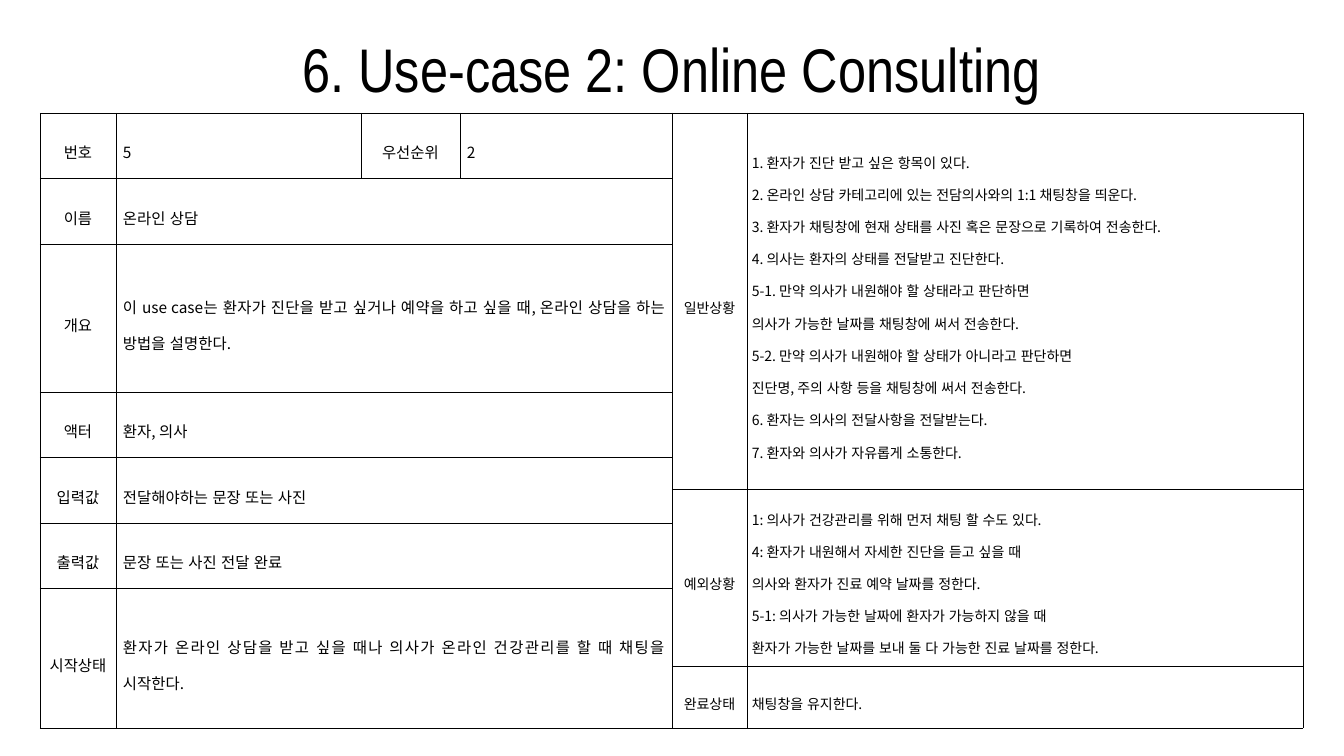
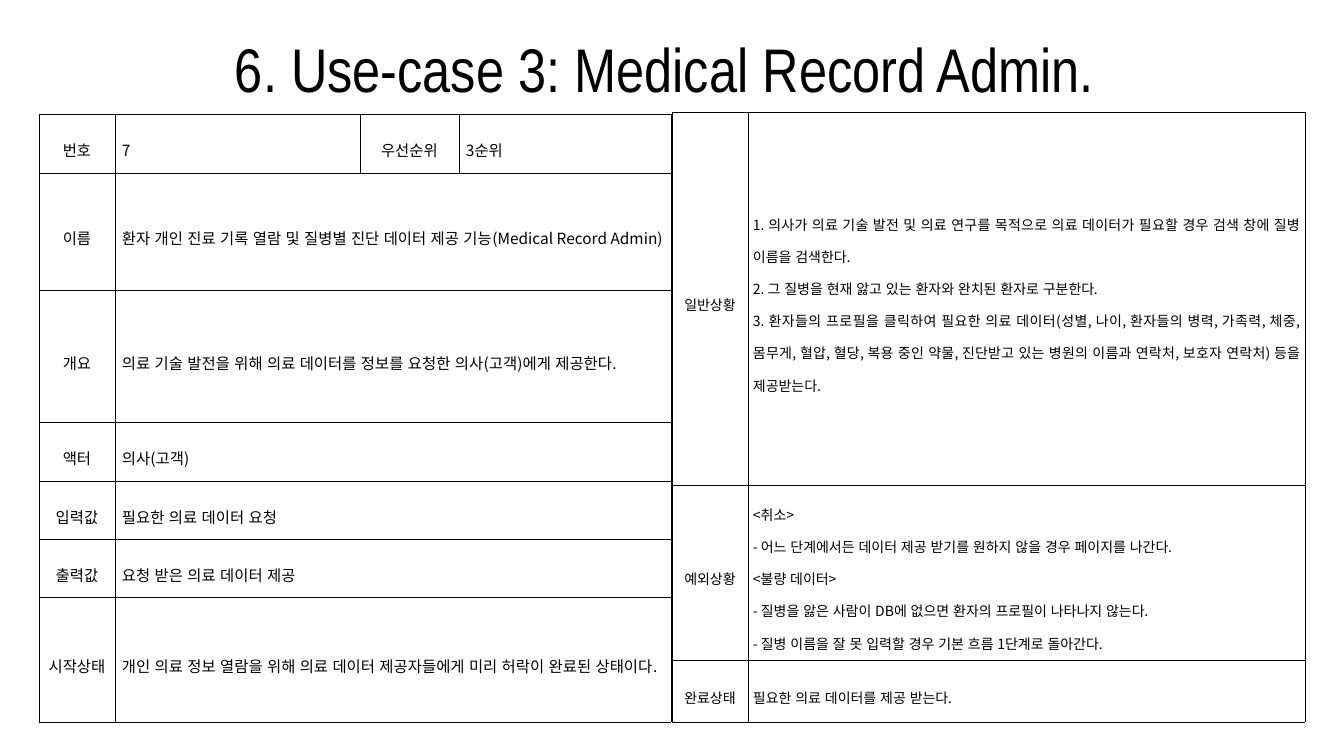
"""Build two use-case specification slides, each with a summary table and a flow table."""
from dataclasses import dataclass

from lxml import etree
from pptx import Presentation
from pptx.dml.color import RGBColor
from pptx.enum.lang import MSO_LANGUAGE_ID
from pptx.enum.text import MSO_ANCHOR, MSO_AUTO_SIZE, PP_ALIGN
from pptx.oxml.ns import qn
from pptx.util import Emu, Pt

CENTER, JUSTIFY = PP_ALIGN.CENTER, PP_ALIGN.JUSTIFY
MIDDLE = MSO_ANCHOR.MIDDLE
NO_AUTOFIT = MSO_AUTO_SIZE.NONE
KOREAN = MSO_LANGUAGE_ID.KOREAN

BLACK = RGBColor(0, 0, 0)
TITLE_FONT = "Arial Narrow"
BODY_FONT = "Noto Sans CJK KR"
BORDER_WIDTH = Pt(0.28)
BORDER_SIDES = ("a:lnL", "a:lnR", "a:lnT", "a:lnB")

EMU_PER_PX = 914400 / 100.8
PAGE_WIDTH, PAGE_HEIGHT = 1344, 756
TITLE_HEIGHT = 146
TITLE_ONLY = 5


@dataclass
class TableStyle:
    """Text size and cell insets of one kind of table."""
    size: int
    inset_x: int
    inset_y: int


@dataclass
class Grid:
    """Position, column widths and row heights of a table in px."""
    left: int
    top: int
    columns: list
    rows: list


@dataclass
class UseCase:
    """Content and table grids of one slide."""
    title: str
    number: str
    priority: str
    summary: list
    flow: list
    summary_grid: Grid
    flow_grid: Grid


SUMMARY_STYLE = TableStyle(11, 7, 2)
FLOW_STYLE = TableStyle(10, 5, 1)
SUMMARY_COLUMNS = [76, 245, 99, 212]
SUMMARY_LABELS = ["이름", "개요", "액터", "입력값", "출력값", "시작상태"]
FLOW_LABELS = ["일반상황", "예외상황", "완료상태"]

USE_CASES = [
    UseCase(
        title="6. Use-case 2: Online Consulting",
        number="5",
        priority="2",
        summary=[
            "온라인 상담",
            "이 use case는 환자가 진단을 받고 싶거나 예약을 하고 싶을 때, 온라인 상담을 하는 방법을 설명한다.",
            "환자, 의사",
            "전달해야하는 문장 또는 사진",
            "문장 또는 사진 전달 완료",
            "환자가 온라인 상담을 받고 싶을 때나 의사가 온라인 건강관리를 할 때 채팅을 시작한다.",
        ],
        flow=[
            [
                "1. 환자가 진단 받고 싶은 항목이 있다.",
                "2. 온라인 상담 카테고리에 있는 전담의사와의 1:1 채팅창을 띄운다.",
                "3. 환자가 채팅창에 현재 상태를 사진 혹은 문장으로 기록하여 전송한다.",
                "4. 의사는 환자의 상태를 전달받고 진단한다.",
                "5-1. 만약 의사가 내원해야 할 상태라고 판단하면",
                "의사가 가능한 날짜를 채팅창에 써서 전송한다.",
                "5-2. 만약 의사가 내원해야 할 상태가 아니라고 판단하면",
                "진단명, 주의 사항 등을 채팅창에 써서 전송한다.",
                "6. 환자는 의사의 전달사항을 전달받는다.",
                "7. 환자와 의사가 자유롭게 소통한다.",
            ],
            [
                "1: 의사가 건강관리를 위해 먼저 채팅 할 수도 있다.",
                "4: 환자가 내원해서 자세한 진단을 듣고 싶을 때",
                "의사와 환자가 진료 예약 날짜를 정한다.",
                "5-1: 의사가 가능한 날짜에 환자가 가능하지 않을 때",
                "환자가 가능한 날짜를 보내 둘 다 가능한 진료 날짜를 정한다.",
            ],
            ["채팅창을 유지한다."],
        ],
        summary_grid=Grid(40, 113, SUMMARY_COLUMNS, [65, 66, 148, 65, 66, 65, 140]),
        flow_grid=Grid(672, 113, [75, 556], [376, 177, 62]),
    ),
    UseCase(
        title="6. Use-case 3: Medical Record Admin. ",
        number="7",
        priority="3순위",
        summary=[
            "환자 개인 진료 기록 열람 및 질병별 진단 데이터 제공 기능(Medical Record Admin)",
            "의료 기술 발전을 위해 의료 데이터를 정보를 요청한 의사(고객)에게 제공한다. ",
            "의사(고객)",
            "필요한 의료 데이터 요청",
            "요청 받은 의료 데이터 제공",
            "개인 의료 정보 열람을 위해 의료 데이터 제공자들에게 미리 허락이 완료된 상태이다.",
        ],
        flow=[
            [
                "1. 의사가 의료 기술 발전 및 의료 연구를 목적으로 의료 데이터가 필요할 경우 "
                "검색 창에 질병 이름을 검색한다.",
                "2. 그 질병을 현재 앓고 있는 환자와 완치된 환자로 구분한다. ",
                "3. 환자들의 프로필을 클릭하여 필요한 의료 데이터(성별, 나이, 환자들의 병력, 가족력, "
                "체중, 몸무게, 혈압, 혈당, 복용 중인 약물, 진단받고 있는 병원의 이름과 연락처, "
                "보호자 연락처) 등을 제공받는다.",
            ],
            [
                "<취소>",
                "- 어느 단계에서든 데이터 제공 받기를 원하지 않을 경우 페이지를 나간다.",
                "<불량 데이터>",
                "- 질병을 앓은 사람이 DB에 없으면 환자의 프로필이 나타나지 않는다.",
                "- 질병 이름을 잘 못 입력할 경우 기본 흐름 1단계로 돌아간다.",
            ],
            ["필요한 의료 데이터를 제공 받는다."],
        ],
        summary_grid=Grid(39, 114, SUMMARY_COLUMNS, [59, 117, 132, 59, 58, 58, 125]),
        flow_grid=Grid(672, 112, [76, 557], [373, 175, 62]),
    ),
]


def px(length):
    """Turn px into EMU."""
    return Emu(round(length * EMU_PER_PX))


def add_span(para, text, font_name, size):
    """Add one run of black text."""
    span = para.add_run()
    span.text = text
    span.font.name = font_name
    span.font.size = Pt(size)
    span.font.bold = False
    span.font.color.rgb = BLACK
    return span


def set_title(page, text):
    """Place and format the title placeholder."""
    title = page.shapes.title
    title.left, title.top = px(0), px(0)
    title.width, title.height = px(PAGE_WIDTH), px(TITLE_HEIGHT)
    frame = title.text_frame
    frame.auto_size = NO_AUTOFIT
    frame.word_wrap = True
    frame.vertical_anchor = MIDDLE
    para = frame.paragraphs[0]
    para.alignment = CENTER
    para.line_spacing = 0.9
    add_span(para, text, TITLE_FONT, 44)


def add_borders(cell):
    """Draw a thin black line on all four sides of a cell."""
    properties = cell._tc.get_or_add_tcPr()
    for side in BORDER_SIDES:
        line = etree.SubElement(properties, qn(side), w=str(int(BORDER_WIDTH)))
        fill = etree.SubElement(line, qn("a:solidFill"))
        etree.SubElement(fill, qn("a:srgbClr"), val=str(BLACK))


def add_table(page, grid, style):
    """Add an unfilled table with thin borders."""
    frame = page.shapes.add_table(
        len(grid.rows), len(grid.columns), px(grid.left), px(grid.top),
        px(sum(grid.columns)), px(sum(grid.rows)))
    table = frame.table
    table.first_row = False
    table.horz_banding = False
    for column, width in zip(table.columns, grid.columns):
        column.width = px(width)
    for row, height in zip(table.rows, grid.rows):
        row.height = px(height)
    for cell in table.iter_cells():
        add_borders(cell)
        cell.fill.background()
        cell.vertical_anchor = MIDDLE
        cell.margin_left = cell.margin_right = px(style.inset_x)
        cell.margin_top = cell.margin_bottom = px(style.inset_y)
    return table


def write_cell(cell, lines, alignment, style):
    """Write each line as a paragraph of the cell."""
    frame = cell.text_frame
    for index, line in enumerate(lines):
        para = frame.add_paragraph() if index else frame.paragraphs[0]
        para.alignment = alignment
        para.line_spacing = 1.6
        span = add_span(para, line, BODY_FONT, style.size)
        span.font.language_id = KOREAN
        latin = span.font._element.find(qn("a:latin"))
        latin.addnext(etree.Element(qn("a:ea"), typeface=BODY_FONT))


def write_pair(table, row, column, label, lines, style):
    """Write a centred label and the justified value beside it."""
    write_cell(table.cell(row, column), [label], CENTER, style)
    write_cell(table.cell(row, column + 1), lines, JUSTIFY, style)


def add_summary_table(page, case):
    """Add the table of number, priority and basic facts."""
    table = add_table(page, case.summary_grid, SUMMARY_STYLE)
    write_pair(table, 0, 0, "번호", [case.number], SUMMARY_STYLE)
    write_pair(table, 0, 2, "우선순위", [case.priority], SUMMARY_STYLE)
    for row, (label, value) in enumerate(zip(SUMMARY_LABELS, case.summary), 1):
        table.cell(row, 1).merge(table.cell(row, 3))
        write_pair(table, row, 0, label, [value], SUMMARY_STYLE)


def add_flow_table(page, case):
    """Add the table of normal, exceptional and final situations."""
    table = add_table(page, case.flow_grid, FLOW_STYLE)
    for row, (label, lines) in enumerate(zip(FLOW_LABELS, case.flow)):
        write_pair(table, row, 0, label, lines, FLOW_STYLE)


def main():
    """Build and save the deck."""
    deck = Presentation()
    deck.slide_width, deck.slide_height = px(PAGE_WIDTH), px(PAGE_HEIGHT)
    for case in USE_CASES:
        page = deck.slides.add_slide(deck.slide_layouts[TITLE_ONLY])
        set_title(page, case.title)
        add_summary_table(page, case)
        add_flow_table(page, case)
    deck.save("out.pptx")


if __name__ == "__main__":
    main()
